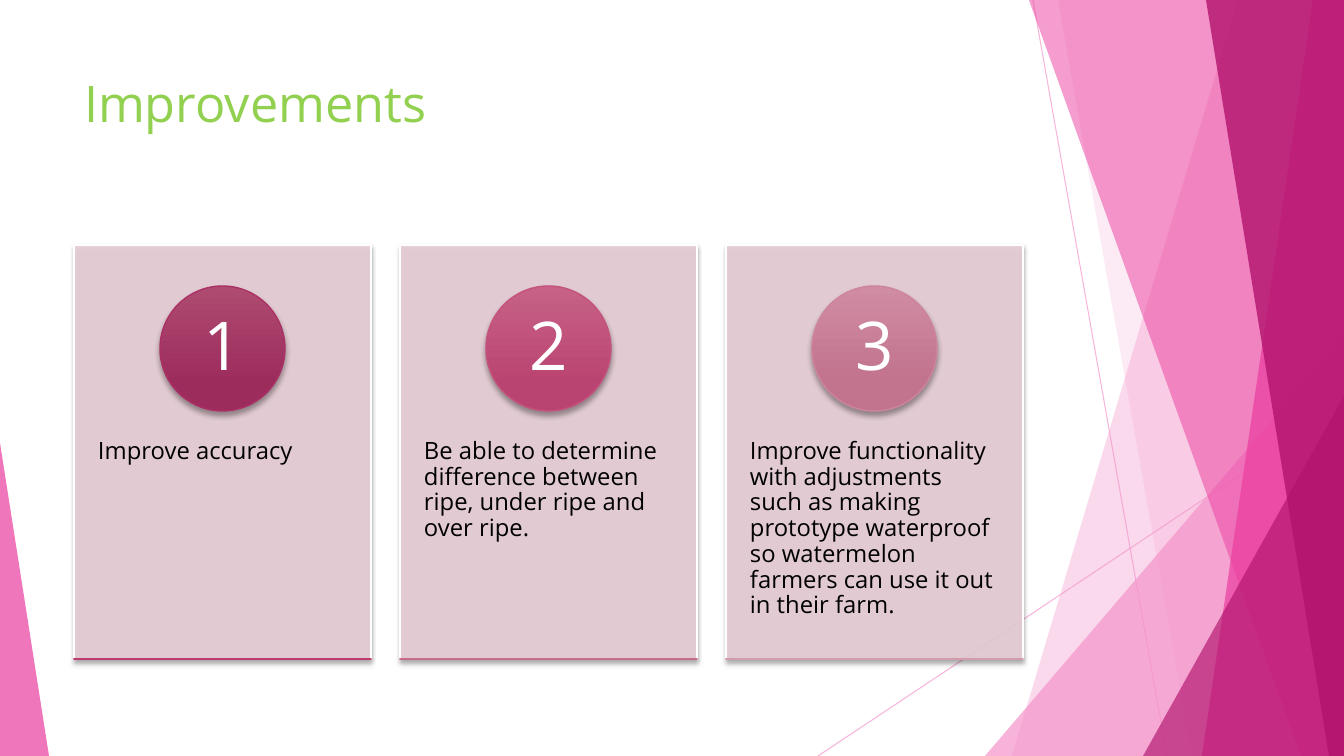
from lxml import etree
from pptx import Presentation, util as u
from pptx.dml.color import RGBColor
from pptx.enum import shapes, text
from pptx.oxml.ns import qn

TITLE = "Improvements"
# Text, badge gradient and line, base line gradient and line
CARDS = [
    ("Improve accuracy", ("AF4B71", "9C2C5C", "AB3065"), ("C1527A", "AD3666", "BD3B70")),
    ("Be able to determine difference between ripe, under ripe and over ripe.",
     ("C76286", "BA4471", "C4527D"), ("CB7794", "BD5C7F", "C86C8D")),
    ("Improve functionality with adjustments such as making prototype waterproof "
     "so watermelon farmers can use it out in their farm.",
     ("CF8CA2", "C2738D", "CD849C"), ("D5A2B1", "C7899C", "D39CAD")),
]
COLORS = {"title": "92D050", "card": "E7CED5", "white": "FFFFFF", "black": "000000",
          "light": "F496CB", "pink": "EB3D9F", "deep": "B2136D"}
FONT = "Open Sans"
WIDTH, HEIGHT = 1344, 756
SCALE = 914400 / 100.8

# Facets from back to front: bands by top and bottom left corner, triangles by box and apex
THIN_LINES = [((1033, 0), (1167, 756)), ((1344, 406), (818, 756))]
FACETS = [
    ("band", (1238, 1012), "light", 36),
    ("band", (1058, 1192), "light", 20),
    ("triangle", (985, 336, 359, 420), 1, "light", 72),
    ("band", (1029, 1301), "pink", 50),
    ("band", (1313, 1202), "pink", 70),
    ("band", (1206, 1329), "deep", 80),
    ("triangle", (1143, 396, 201, 360), 1, "deep", 66),
    ("triangle", (0, 443, 49, 313), 0, "pink", 70),
]
CARD_LEFT, CARD_TOP, CARD_WIDTH, CARD_HEIGHT, PITCH = 74, 245, 297, 414, 326
BADGE_TOP, BADGE_SIZE, NUMBER_SIZE = 286, 125, 88
BODY_TOP, BODY_HEIGHT = 403, 249


def px(*lengths):
    return [u.Emu(round(length * SCALE)) for length in lengths]


def rgb(color):
    return RGBColor.from_string(color)


def set_alpha(parent, percent):
    color = next(parent.iter(qn("a:srgbClr")))
    etree.SubElement(color, qn("a:alpha"), val=str(percent * 1000))


def solid(shape, color, alpha):
    shape.shadow.inherit = False
    shape.fill.solid()
    shape.fill.fore_color.rgb = rgb(color)
    set_alpha(shape.element.spPr.find(qn("a:solidFill")), alpha)


def gradient(shape, start, end):
    shape.fill.gradient()
    shape.fill.gradient_angle = 270
    for stop, color, position in zip(shape.fill.gradient_stops, (start, end), (0, 0.78)):
        stop.color.rgb = rgb(color)
        stop.position = position


def outline_and_shadow(shape, color, blur, distance):
    shape.line.color.rgb = rgb(color)
    shape.line.width = u.Pt(1)
    shape.shadow.inherit = False
    effects = shape.element.spPr.find(qn("a:effectLst"))
    shadow = etree.SubElement(effects, qn("a:outerShdw"), blurRad=str(u.Pt(blur)),
                              dist=str(u.Pt(distance)), dir="5400000", rotWithShape="0")
    etree.SubElement(shadow, qn("a:srgbClr"), val=COLORS["black"])
    set_alpha(shadow, 35)


def style(paragraph, size, color, alignment=text.PP_ALIGN.LEFT):
    paragraph.alignment = alignment
    font = paragraph.font
    font.name, font.size = FONT, u.Pt(size)
    font.color.rgb = rgb(COLORS[color])


def add_text(box, words, margins, size, color, alignment, anchor):
    frame = slide.shapes.add_textbox(*px(*box)).text_frame
    frame.word_wrap = True
    frame.auto_size = text.MSO_AUTO_SIZE.NONE
    frame.vertical_anchor = anchor
    horizontal, vertical = px(*margins)
    frame.margin_left = frame.margin_right = horizontal
    frame.margin_top = frame.margin_bottom = vertical
    paragraph = frame.paragraphs[0]
    paragraph.text = words
    paragraph.line_spacing = 0.9
    style(paragraph, size, color, alignment)


presentation = Presentation()
presentation.slide_width, presentation.slide_height = px(WIDTH, HEIGHT)
slide = presentation.slides.add_slide(presentation.slide_layouts[5])

# Thin lines behind the facets
for start, end in THIN_LINES:
    line = slide.shapes.add_connector(shapes.MSO_CONNECTOR.STRAIGHT, *px(*start, *end))
    line.line.color.rgb = rgb(COLORS["light"])
    line.line.width = u.Pt(0.75)
    set_alpha(line.element.spPr, 70)
    etree.SubElement(line.element.spPr, qn("a:effectLst"))

# Facets
for kind, place, *apex, color, alpha in FACETS:
    if kind == "band":
        top, bottom = place
        builder = slide.shapes.build_freeform(top, 0, scale=SCALE)
        builder.add_line_segments([(WIDTH, 0), (WIDTH, HEIGHT), (bottom, HEIGHT)], close=True)
        facet = builder.convert_to_shape()
    else:
        facet = slide.shapes.add_shape(shapes.MSO_SHAPE.ISOSCELES_TRIANGLE, *px(*place))
        facet.adjustments[0] = apex[0]
    solid(facet, COLORS[color], alpha)
    facet.line.fill.background()

# Title, in front of the facets
title = slide.shapes.title
title.element.getparent().append(title.element)
title.left, title.top, title.width, title.height = px(74, 67, 948, 145)
title.text = TITLE
title.text_frame.vertical_anchor = text.MSO_ANCHOR.TOP
style(title.text_frame.paragraphs[0], 36, "title")

# Numbered cards
for index, (words, badge_colors, base_colors) in enumerate(CARDS):
    left = CARD_LEFT + index * PITCH
    center = left + CARD_WIDTH / 2
    card = slide.shapes.add_shape(shapes.MSO_SHAPE.RECTANGLE,
                                  *px(left, CARD_TOP, CARD_WIDTH, CARD_HEIGHT))
    solid(card, COLORS["card"], 90)
    outline_and_shadow(card, COLORS["white"], 3, 2)
    add_text((left, BODY_TOP, CARD_WIDTH, BODY_HEIGHT), words, (24, 36), 17, "black",
             text.PP_ALIGN.LEFT, text.MSO_ANCHOR.TOP)

    badge_box = (center - BADGE_SIZE / 2, BADGE_TOP, BADGE_SIZE, BADGE_SIZE)
    base_box = (left, CARD_TOP + CARD_HEIGHT, CARD_WIDTH, 0)
    for preset, box, colors in ((shapes.MSO_SHAPE.OVAL, badge_box, badge_colors),
                                (shapes.MSO_SHAPE.RECTANGLE, base_box, base_colors)):
        shape = slide.shapes.add_shape(preset, *px(*box))
        gradient(shape, *colors[:2])
        outline_and_shadow(shape, colors[2], 4, 3)

    number_top = BADGE_TOP + (BADGE_SIZE - NUMBER_SIZE) / 2
    add_text((center - NUMBER_SIZE / 2, number_top, NUMBER_SIZE, NUMBER_SIZE),
             str(index + 1), (10, 1), 48, "white",
             text.PP_ALIGN.CENTER, text.MSO_ANCHOR.MIDDLE)

presentation.save("out.pptx")
